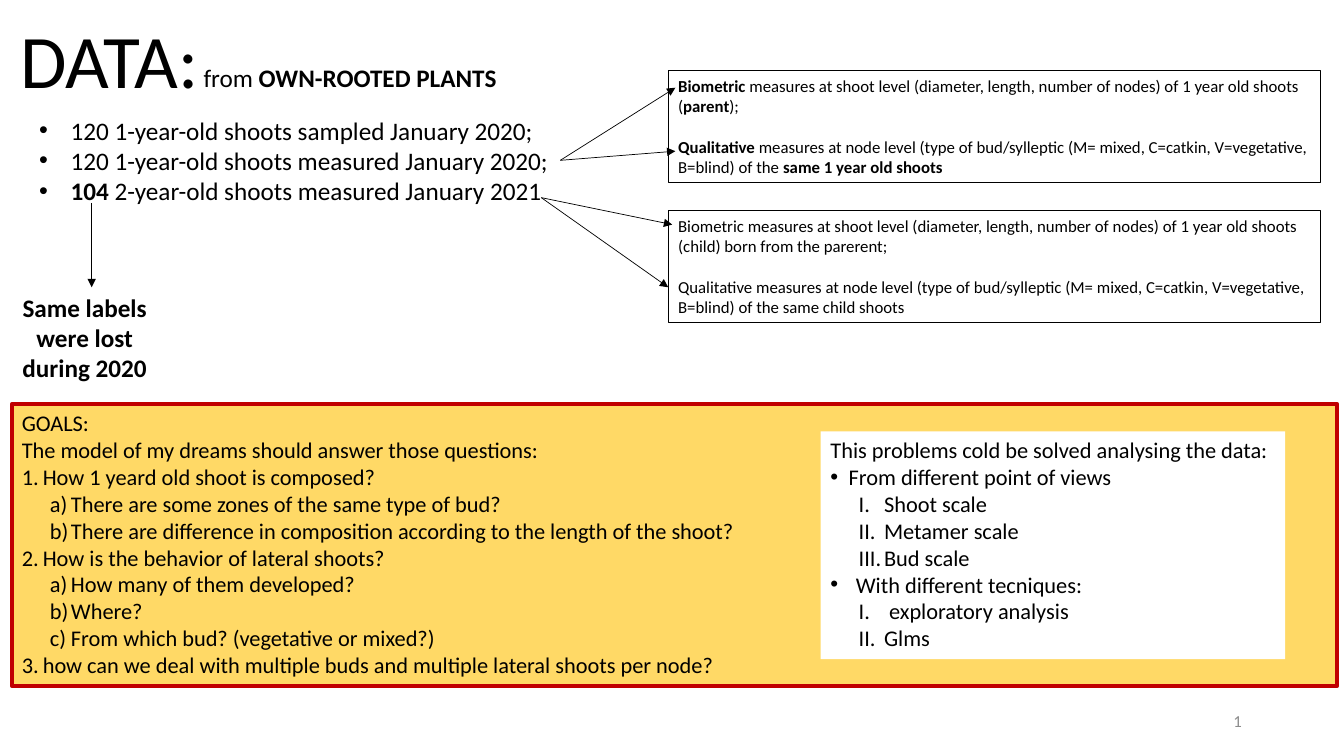
from lxml import etree
from pptx import Presentation
from pptx.dml.color import RGBColor
from pptx.enum.shapes import MSO_CONNECTOR, MSO_SHAPE
from pptx.enum.text import MSO_ANCHOR, MSO_AUTO_SIZE, PP_ALIGN
from pptx.oxml.ns import qn
from pptx.util import Cm, Pt

COLORS = {"text": "000000", "muted": "8C8C8C", "goals": "FFD966",
          "border": "C00000", "panel": "FFFFFF"}
FONT = "Calibri"
RECTANGLE = MSO_SHAPE.RECTANGLE
STRAIGHT = MSO_CONNECTOR.STRAIGHT
LEFT, CENTER, RIGHT = PP_ALIGN.LEFT, PP_ALIGN.CENTER, PP_ALIGN.RIGHT
TOP, MIDDLE = MSO_ANCHOR.TOP, MSO_ANCHOR.MIDDLE
NO_AUTOFIT = MSO_AUTO_SIZE.NONE

BULLET = ("buChar", "char", "•")
NUMBER = ("buAutoNum", "type", "arabicPeriod")
LETTER = ("buAutoNum", "type", "alphaLcParenR")
ROMAN = ("buAutoNum", "type", "romanUcPeriod")

SAMPLE = (BULLET, 0, 0.79, 0.79)
QUESTION = (NUMBER, 0, 0.53, 0.53)
DETAIL = (LETTER, 1, 1.24, 0.53)
VIEW = (BULLET, 0, 0.46, 0.46)
TECHNIQUE = (BULLET, 0, 0.64, 0.64)
SCALE = (ROMAN, 1, 1.35, 0.64)

SAMPLES = [
    ("120 1-year-old shoots sampled January 2020;", SAMPLE),
    ("120 1-year-old shoots measured January 2020;", SAMPLE),
    ("**104** 2-year-old shoots measured January 2021", SAMPLE),
]
PARENT_MEASURES = [
    ("**Biometric** measures at shoot level (diameter, length, number of nodes) "
     "of 1 year old shoots (**parent**);", None),
    ("**Qualitative** measures at node level (type of bud/sylleptic (M= mixed, "
     "C=catkin, V=vegetative, B=blind) of the **same 1 year old shoots**", None),
]
CHILD_MEASURES = [
    ("Biometric measures at shoot level (diameter, length, number of nodes) "
     "of 1 year old shoots (child) born from the parerent;", None),
    ("Qualitative measures at node level (type of bud/sylleptic (M= mixed, "
     "C=catkin, V=vegetative, B=blind) of the same child shoots", None),
]
GOALS = [
    ("GOALS:", None),
    ("The model of my dreams should answer those questions:", None),
    ("How 1 yeard old shoot is composed?", QUESTION),
    ("There are some zones of the same type of bud?", DETAIL),
    ("There are difference in composition according to the length of the shoot?", DETAIL),
    ("How is the behavior of lateral shoots?", QUESTION),
    ("How many of them developed?", DETAIL),
    ("Where?", DETAIL),
    ("From which bud? (vegetative or mixed?)", DETAIL),
    ("how can we deal with multiple buds and multiple lateral shoots per node?", QUESTION),
]
SOLUTIONS = [
    ("This problems cold be solved analysing the data:", None),
    ("From different point of views", VIEW),
    ("Shoot scale", SCALE),
    ("Metamer scale", SCALE),
    ("Bud scale", SCALE),
    ("With different tecniques:", TECHNIQUE),
    (" exploratory analysis", SCALE),
    ("Glms", SCALE),
]


def color(name):
    """Return the named colour."""
    return RGBColor.from_string(COLORS[name])


def style_font(paragraph, size, color_name="text"):
    """Set the font of a whole paragraph."""
    paragraph.font.name = FONT
    paragraph.font.size = Pt(size)
    paragraph.font.color.rgb = color(color_name)


def add_marker(paragraph, marker):
    """Give a paragraph its bullet or number, level and hanging indent."""
    (tag, attribute, value), level, margin, hanging = marker
    paragraph.level = level
    properties = paragraph._p.get_or_add_pPr()
    properties.set("marL", str(Cm(margin)))
    properties.set("indent", str(-Cm(hanging)))
    if tag == "buChar":
        etree.SubElement(properties, qn("a:buFont")).set("typeface", "Arial")
    etree.SubElement(properties, qn("a:" + tag)).set(attribute, value)


def write_lines(shape, lines, size, align=LEFT, gap=0):
    """Fill a shape with paragraphs, with bold between double asterisks."""
    frame = shape.text_frame
    frame.word_wrap = True
    frame.vertical_anchor = TOP
    for index, (text, marker) in enumerate(lines):
        paragraph = frame.add_paragraph() if index else frame.paragraphs[0]
        paragraph.alignment = align
        if marker:
            add_marker(paragraph, marker)
        if index and gap:
            paragraph.space_before = Pt(gap)
        style_font(paragraph, size)
        for position, part in enumerate(text.split("**")):
            if part:
                run = paragraph.add_run()
                run.text = part
                run.font.bold = position % 2 == 1


def add_text(slide, box, lines, size, align=LEFT):
    """Add a text box."""
    shape = slide.shapes.add_textbox(*map(Cm, box))
    write_lines(shape, lines, size, align)


def add_panel(slide, box, lines, size, fill=None, line=None, width=0, gap=0):
    """Add a rectangle with text."""
    shape = slide.shapes.add_shape(RECTANGLE, *map(Cm, box))
    shape.shadow.inherit = False
    if fill:
        shape.fill.solid()
        shape.fill.fore_color.rgb = color(fill)
    else:
        shape.fill.background()
    if line:
        shape.line.color.rgb = color(line)
        shape.line.width = Pt(width)
    else:
        shape.line.fill.background()
    write_lines(shape, lines, size, gap=gap)


def add_arrow(slide, start, end):
    """Add a thin line with an arrowhead at its end."""
    arrow = slide.shapes.add_connector(STRAIGHT, *map(Cm, start + end))
    arrow.line.color.rgb = color("text")
    arrow.line.width = Pt(0.5)
    etree.SubElement(arrow.line._get_or_add_ln(), qn("a:tailEnd")).set("type", "triangle")
    etree.SubElement(arrow._element.spPr, qn("a:effectLst"))


def add_heading(slide, left, top):
    """Place the title and the subtitle beside it."""
    title = slide.shapes.title
    title.left, title.top, title.width, title.height = map(Cm, (left, top, 5.05, 2.57))
    frame = title.text_frame
    frame.text = "DATA:"
    frame.word_wrap = False
    frame.auto_size = NO_AUTOFIT
    frame.vertical_anchor = TOP
    frame.paragraphs[0].alignment = CENTER
    style_font(frame.paragraphs[0], 54)
    add_text(slide, (left + 4.65, top + 1.25, 8.92, 1.02),
             [("from **OWN-ROOTED PLANTS**", None)], 18)


def add_samples(slide, left, top):
    """Place the sample list and the note on lost labels below it."""
    add_text(slide, (left, top, 13.82, 3.33), SAMPLES, 18)
    add_arrow(slide, (left + 1.57, top + 2.34), (left + 1.57, top + 4.47))
    add_text(slide, (left - 0.79, top + 4.47, 4.37, 2.57),
             [("**Same labels were lost during 2020**", None)], 18, CENTER)


def add_measures(slide, left, top, lines, start, ends):
    """Place a box of measures and the arrows that lead into it."""
    add_panel(slide, (left, top, 16.43, 2.82), lines, 12,
              line="text", width=0.75, gap=14.6)
    for x, y in ends:
        add_arrow(slide, start, (left + x, top + y))


def add_goals(slide, left, top):
    """Place the goals panel and the solutions inside it."""
    add_panel(slide, (left, top, 33.4, 7.09), GOALS, 16, "goals", "border", 3)
    add_panel(slide, (left + 20.38, top + 0.68, 11.71, 5.74), SOLUTIONS, 16, "panel")


def add_slide_number(slide, left, top):
    """Place the slide number field."""
    shape = slide.shapes.add_textbox(*map(Cm, (left, top, 7.62, 1.02)))
    shape.text_frame.vertical_anchor = MIDDLE
    shape.text_frame.word_wrap = True
    paragraph = shape.text_frame.paragraphs[0]
    paragraph.alignment = RIGHT
    style_font(paragraph, 12, "muted")
    run = paragraph.add_run()
    run.text = "1"
    style_font(run_holder := run, 12, "muted") if hasattr(run, "font") else None
    run_holder._r.tag = qn("a:fld")


def main():
    """Build and save the slide."""
    presentation = Presentation()
    presentation.slide_width, presentation.slide_height = Cm(33.87), Cm(19.05)
    slide = presentation.slides.add_slide(presentation.slide_layouts[5])
    add_heading(slide, 0.23, 0.2)
    add_samples(slide, 0.74, 2.77)
    add_measures(slide, 16.84, 1.78, PARENT_MEASURES, (14.12, 4.04),
                 [(0.18, 0.43), (0.18, 2.03)])
    add_measures(slide, 16.84, 5.31, CHILD_MEASURES, (13.64, 4.98),
                 [(0, 1.93), (0.1, 0.35)])
    add_goals(slide, 0.3, 10.19)
    add_slide_number(slide, 23.93, 17.65)
    presentation.save("out.pptx")


if __name__ == "__main__":
    main()
